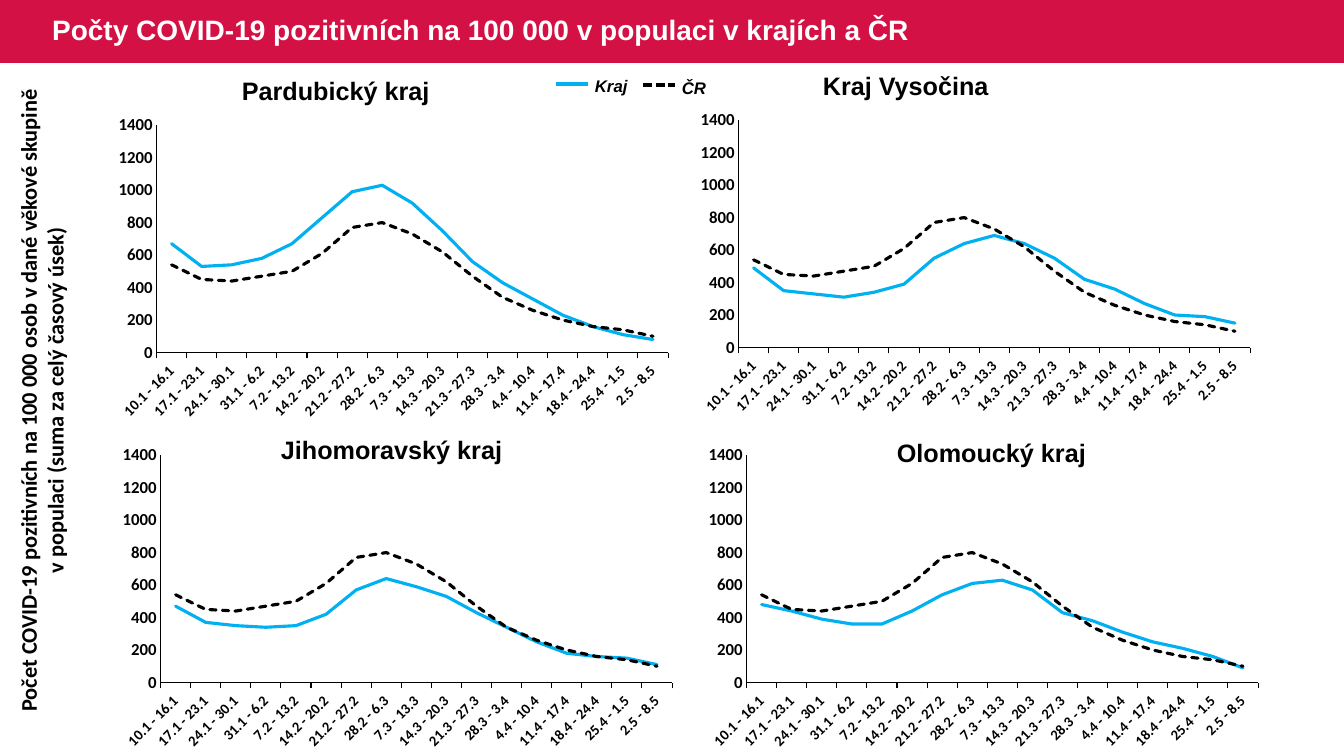
import pptx
import pptx.chart.data
import pptx.dml.color
import pptx.enum.chart
import pptx.enum.dml
import pptx.enum.shapes
import pptx.enum.text
import pptx.oxml
import pptx.oxml.ns
import pptx.util

EMU_PER_PX = 914400 / 100.8
CRIMSON = pptx.dml.color.RGBColor(0xD3, 0x11, 0x45)
WHITE = pptx.dml.color.RGBColor(0xFF, 0xFF, 0xFF)
BLACK = pptx.dml.color.RGBColor(0x00, 0x00, 0x00)
SKY_BLUE = pptx.dml.color.RGBColor(0x00, 0xB0, 0xF0)
GREEN = pptx.dml.color.RGBColor(0x00, 0xB0, 0x50)
DARK_RED = pptx.dml.color.RGBColor(0xC0, 0x00, 0x00)
AMBER = pptx.dml.color.RGBColor(0xFF, 0xC0, 0x00)
GREY = pptx.dml.color.RGBColor(0xA6, 0xA6, 0xA6)
SERIES_COLORS = [SKY_BLUE, GREEN, DARK_RED, AMBER, GREY, BLACK]
SQUARE_DASH = pptx.enum.dml.MSO_LINE.SQUARE_DOT

WEEKS = [
    "10.1 - 16.1", "17.1 - 23.1", "24.1 - 30.1", "31.1 - 6.2", "7.2 - 13.2",
    "14.2 - 20.2", "21.2 - 27.2", "28.2 - 6.3", "7.3 - 13.3", "14.3 - 20.3",
    "21.3 - 27.3", "28.3 - 3.4", "4.4 - 10.4", "11.4 - 17.4", "18.4 - 24.4",
    "25.4 - 1.5", "2.5 - 8.5",
]
COUNTRY = [540, 450, 440, 470, 500, 610, 770, 800, 730, 620, 470, 340, 260,
           200, 160, 140, 100]
NO_COUNTS = [None] * len(WEEKS)

# Region name, name box, chart corner, weekly values
REGIONS = [
    ("Pardubický kraj", (232, 70, 210, 40), (105, 115),
     [670, 530, 540, 580, 670, 830, 990, 1030, 920, 750, 560, 430, 330, 230,
      160, 110, 80]),
    ("Kraj Vysočina", (813, 65, 187, 40), (687, 110),
     [490, 350, 330, 310, 340, 390, 550, 640, 690, 640, 550, 420, 360, 270,
      200, 190, 150]),
    ("Jihomoravský kraj", (271, 429, 244, 40), (109, 445),
     [470, 370, 350, 340, 350, 420, 570, 640, 590, 530, 430, 340, 250, 180,
      160, 150, 110]),
    ("Olomoucký kraj", (887, 432, 212, 40), (695, 445),
     [480, 440, 390, 360, 360, 440, 540, 610, 630, 570, 430, 380, 310, 250,
      210, 160, 90]),
]
CHART_SIZE = (586, 309)
PLOT_AREA = {"x": 0.088, "y": 0.033, "w": 0.873, "h": 0.736}


def px(*lengths):
    return [pptx.util.Emu(round(length * EMU_PER_PX)) for length in lengths]


def style_font(font, size, name="Arial", color=BLACK, italic=None):
    font.size = pptx.util.Pt(size)
    font.name = name
    font.bold = True
    font.italic = italic
    font.color.rgb = color


def style_line(line, color, dash=None, width=2.25):
    line.color.rgb = color
    line.width = pptx.util.Pt(width)
    if dash is not None:
        line.dash_style = dash


def write(frame, text, *, align=None, wrap=False, grow=True, **font_format):
    frame.word_wrap = wrap
    if grow:
        frame.auto_size = pptx.enum.text.MSO_AUTO_SIZE.SHAPE_TO_FIT_TEXT
    paragraph = frame.paragraphs[0]
    paragraph.alignment = align
    run = paragraph.add_run()
    run.text = text
    style_font(run.font, **font_format)


def add_label(slide, text, box, **text_format):
    label = slide.shapes.add_textbox(*px(*box))
    write(label.text_frame, text, **text_format)
    return label


def add_header(slide, text):
    title = slide.shapes.title
    title.left, title.top, title.width, title.height = px(42, 0, 901, 62)
    title.text_frame.vertical_anchor = pptx.enum.text.MSO_ANCHOR.MIDDLE
    write(title.text_frame, text, align=pptx.enum.text.PP_ALIGN.LEFT,
          wrap=True, grow=False, size=20, color=WHITE)
    title.text_frame.paragraphs[0].line_spacing = 0.9

    band = slide.shapes.add_shape(
        pptx.enum.shapes.MSO_SHAPE.RECTANGLE, *px(0, 0, 1344, 63))
    band.shadow.inherit = False
    band.fill.solid()
    band.fill.fore_color.rgb = CRIMSON
    band.line.fill.background()
    title._element.addprevious(band._element)


def add_legend_entry(slide, text, line_start, label_box, color, dash=None):
    left, top = line_start
    sample = slide.shapes.add_connector(
        pptx.enum.shapes.MSO_CONNECTOR.STRAIGHT,
        *px(left, top, left + 32, top))
    style_line(sample.line, color, dash)
    sample._element.spPr.append(pptx.oxml.parse_xml(
        f"<a:effectLst {pptx.oxml.ns.nsdecls('a')}/>"))
    add_label(slide, text, label_box, size=12, italic=True)


def fix_plot_area(chart):
    """Pin the inner plot area to the same fractions in every chart."""
    plot_area = chart._chartSpace.chart.plotArea
    for layout in plot_area.findall(pptx.oxml.ns.qn("c:layout")):
        plot_area.remove(layout)
    modes = "".join(f'<c:{side}Mode val="edge"/>' for side in "xy")
    fractions = "".join(
        f'<c:{key} val="{value}"/>' for key, value in PLOT_AREA.items())
    plot_area.insert(0, pptx.oxml.parse_xml(
        f"<c:layout {pptx.oxml.ns.nsdecls('c')}><c:manualLayout>"
        f'<c:layoutTarget val="inner"/>{modes}{fractions}'
        "</c:manualLayout></c:layout>"))


def style_axis(axis, size, tick):
    axis.has_major_gridlines = False
    axis.major_tick_mark = tick
    axis.minor_tick_mark = pptx.enum.chart.XL_TICK_MARK.NONE
    style_font(axis.tick_labels.font, size, "Calibri")
    style_line(axis.format.line, BLACK, width=0.75)


def add_region_chart(slide, corner, region_values):
    chart_data = pptx.chart.data.CategoryChartData()
    chart_data.categories = WEEKS
    counts_by_series = [region_values, *[NO_COUNTS] * 4, COUNTRY]
    for number, weekly_counts in enumerate(counts_by_series, start=1):
        chart_data.add_series(f"Series {number}", weekly_counts)
    chart = slide.shapes.add_chart(
        pptx.enum.chart.XL_CHART_TYPE.LINE, *px(*corner, *CHART_SIZE),
        chart_data).chart
    chart.has_title = False
    chart.has_legend = False
    style_font(chart.font, 14)
    chart.plots[0].vary_by_categories = False

    for series, color in zip(chart.plots[0].series, SERIES_COLORS):
        series.smooth = False
        style_line(series.format.line, color,
                   SQUARE_DASH if color == BLACK else None)
        series._element.find(".//" + pptx.oxml.ns.qn("a:ln")).set("cap", "rnd")

    weeks, counts = chart.category_axis, chart.value_axis
    style_axis(weeks, 10.5, pptx.enum.chart.XL_TICK_MARK.OUTSIDE)
    style_axis(counts, 12, pptx.enum.chart.XL_TICK_MARK.NONE)
    weeks._element.find(".//" + pptx.oxml.ns.qn("a:bodyPr")).set(
        "rot", "-2700000")
    counts.minimum_scale = 0
    counts.maximum_scale = 1400
    counts.major_unit = 200
    counts.tick_labels.number_format = "###0"
    counts.tick_labels.number_format_is_linked = False
    fix_plot_area(chart)


def main():
    deck = pptx.Presentation()
    deck.slide_width, deck.slide_height = px(1344, 756)
    slide = deck.slides.add_slide(deck.slide_layouts[5])

    add_header(
        slide, "Počty COVID-19 pozitivních na 100 000 v populaci v krajích a ČR")
    axis_caption = add_label(
        slide,
        "Počet COVID-19 pozitivních na 100 000 osob v dané věkové skupině "
        "v populaci (suma za celý časový úsek)",
        (-284, 368, 652, 65), align=pptx.enum.text.PP_ALIGN.CENTER,
        wrap=True, size=16, name="Calibri")
    axis_caption.rotation = 270

    add_legend_entry(slide, "Kraj", (556, 84), (585, 71, 54, 30), SKY_BLUE)
    add_legend_entry(slide, "ČR", (643, 85), (672, 73, 46, 30), BLACK,
                     SQUARE_DASH)

    for region, name_box, chart_corner, region_values in REGIONS:
        add_region_chart(slide, chart_corner, region_values)
        add_label(slide, region, name_box, size=18)

    deck.save("out.pptx")


if __name__ == "__main__":
    main()
